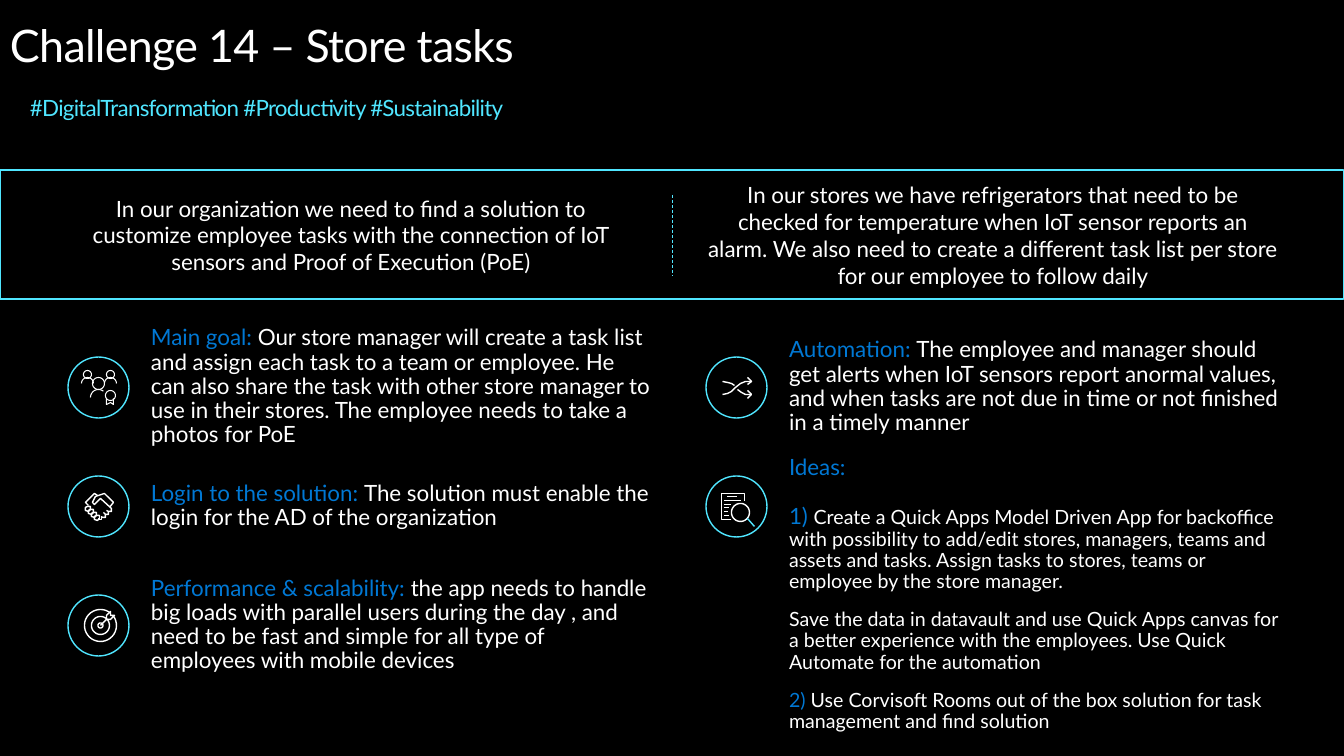
import math
from pptx import Presentation, util as u
from pptx.dml.color import RGBColor
from pptx.enum import dml, shapes, text
from pptx.oxml.ns import qn
from lxml import etree

TITLE = "Challenge 14 – Store tasks"
HASHTAGS = "#DigitalTransformation #Productivity #Sustainability"
STATEMENTS = [
    "In our organization we need to find a solution to customize employee tasks "
    "with the connection of IoT sensors and Proof of Execution (PoE)",
    "In our stores we have refrigerators that need to be checked for temperature "
    "when IoT sensor reports an alarm. We also need to create a different task list "
    "per store for our employee to follow daily",
]
# (column, row, icon, heading, body)
TOPICS = [
    (0, 0, "team", "Main goal: ",
     "Our store manager will create a task list and assign each task to a team or "
     "employee. He can also share the task with other store manager to use in their "
     "stores. The employee needs to take a photos for PoE"),
    (0, 1, "handshake", "Login to the solution: ",
     "The solution must enable the login for the AD of the organization"),
    (0, 2, "target", "Performance & scalability: ",
     "the app needs to handle big loads with parallel users during the day , and need "
     "to be fast and simple for all type of employees with mobile devices"),
    (1, 0, "shuffle", "Automation: ",
     "The employee and manager should get alerts when IoT sensors report anormal "
     "values, and when tasks are not due in time or not finished in a timely manner"),
    (1, 1, "search", "Ideas:", ""),
]
# (number, number style, body, space before in points)
IDEAS = [
    ("1) ", "heading",
     "Create a Quick Apps Model Driven App for backoffice with possibility to add/edit "
     "stores, managers, teams and assets and tasks. Assign tasks to stores, teams or "
     "employee by the store manager.", 18),
    ("", "number",
     "Save the data in datavault and use Quick Apps canvas for a better experience with "
     "the employees. Use Quick Automate for the automation", 12),
    ("2) ", "number",
     "Use Corvisoft Rooms out of the box solution for task management and find solution", 12),
]

THEME = {
    "black": "000000", "white": "FFFFFF", "cyan": "50E6FF", "blue": "0078D4",
    "font": "Lato",
    "title": (32, "white"), "tags": (16, "cyan"), "body": (16, "white"),
    "heading": (16, "blue"), "number": (14, "blue"), "idea": (14, "white"),
}
PX = 914400 / 100.8
RING = 61


def px(length):
    return u.Emu(round(length * PX))


def color(name):
    return RGBColor.from_string(THEME[name])


def arc(x, y, radius, start=0, end=360):
    """Points along a circular arc, angles in degrees clockwise from the right."""
    steps = max(8, round((end - start) / 10))
    angles = [math.radians(start + (end - start) * i / steps) for i in range(steps + 1)]
    return [(x + radius * math.cos(a), y + radius * math.sin(a)) for a in angles]


FINGER = [(-13, 1), (-13, 4), (-10, 5), (-8, 3), (-8, 0), (-11, 0), (-13, 1)]
# Text lines on the search icon's page: (y, left, right)
PAGE_LINES = [(-10, -9, 1), (-6, -12, 5), (-2, -12, -5), (1, -12, -7), (5, -12, -8), (9, -12, -7)]
# Icon strokes in px from the middle of the ring
ICONS = {
    "team": [
        arc(0, -4, 6), arc(0, 10, 8, 180, 308),
        arc(-11, -13, 4), arc(-11, -4, 6, 180, 360),
        arc(12, -13, 4), arc(12, -4, 6, 180, 360),
        arc(12, 8, 5), [(8, 11), (8, 17), (12, 15), (15, 17), (15, 11)],
    ],
    "handshake": [
        [(-10, -1), (-13, -4), (-4, -13), (-1, -11)],
        *[[(x + 3 * i, y + 3 * i) for x, y in FINGER] for i in range(4)],
        [(11, 1), (15, -4), (6, -13), (-3, -10), (-6, -4), (-4, -2), (-1, -5), (2, -8),
         (13, 2), (13, 5), (10, 5), (8, 4)],
        [(10, 5), (10, 8), (7, 8), (5, 6)],
        [(7, 8), (7, 11), (4, 11), (3, 10)],
        [(3, 10), (3, 13), (0, 13), (0, 12)],
    ],
    "target": [
        arc(2, 0, 16, -37, 302), arc(2, 0, 9), arc(2, 0, 2.5), [(2, 0), (8, -6)],
        [(16, -10), (12, -10), (12, -14), (8, -10), (8, -6), (12, -6), (16, -10)],
    ],
    "shuffle": [
        [(-14, -6), (-9, -5), (-5, -4), (-2, -2)], [(1, 2), (5, 5), (9, 7), (15, 7)],
        [(-14, 7), (-9, 6), (-5, 4), (-1, 0), (4, -4), (9, -6), (15, -6)],
        [(11, -10), (15, -6), (11, -3)], [(11, 3), (15, 7), (11, 11)],
    ],
    "search": [
        [(-5, 13), (-15, 13), (-15, -13), (8, -13), (8, -5)],
        *[[(left, y), (right, y)] for y, left, right in PAGE_LINES],
        arc(4, 6, 9),
    ],
}

deck = Presentation()
deck.slide_width, deck.slide_height = px(1344), px(756)
page = deck.slides.add_slide(deck.slide_layouts[6])
page.background.fill.solid()
page.background.fill.fore_color.rgb = color("black")


def outline(shape, ink, width):
    shape.line.color.rgb = color(ink)
    shape.line.width = u.Pt(width)


def add_preset(kind, left, top, width, height, weight):
    shape = page.shapes.add_shape(kind, px(left), px(top), px(width), px(height))
    shape.shadow.inherit = False
    shape.fill.solid()
    shape.fill.fore_color.rgb = color("black")
    outline(shape, "cyan", weight)


def add_line(x1, y1, x2, y2, weight):
    line = page.shapes.add_connector(shapes.MSO_CONNECTOR.STRAIGHT, px(x1), px(y1), px(x2), px(y2))
    etree.SubElement(line._element.spPr, qn("a:effectLst"))
    outline(line, "cyan", weight)
    # The effect list must follow the line properties
    line._element.spPr.append(line._element.spPr.find(qn("a:effectLst")))
    return line


def add_text(left, top, width, height, paragraphs, anchor="MIDDLE", tracking=None, **formats):
    """Each paragraph is (space before in points, [(text, style), ...])."""
    box = page.shapes.add_textbox(px(left), px(top), px(width), px(height))
    frame = box.text_frame
    settings = {"word_wrap": True, "vertical_anchor": text.MSO_ANCHOR[anchor],
                "margin_left": 0, "margin_right": 0, "margin_top": 0, "margin_bottom": 0}
    for name, value in settings.items():
        setattr(frame, name, value)
    for i, (space, pieces) in enumerate(paragraphs):
        para = frame.add_paragraph() if i else frame.paragraphs[0]
        for name, value in {"space_before": u.Pt(space), **formats}.items():
            setattr(para, name, value)
        for words, style in pieces:
            size, ink = THEME[style]
            span = para.add_run()
            span.text = words
            for name, value in {"name": THEME["font"], "size": u.Pt(size)}.items():
                setattr(span.font, name, value)
            span.font.color.rgb = color(ink)
            if tracking:
                span._r.get_or_add_rPr().set("spc", str(tracking))


def add_icon(name, x, y):
    builder = None
    for stroke in ICONS[name]:
        (first, *rest) = [(px(x + dx), px(y + dy)) for dx, dy in stroke]
        if builder:
            builder.move_to(*first)
        else:
            builder = page.shapes.build_freeform(*first, scale=1.0)
        builder.add_line_segments(rest, close=False)
    icon = builder.convert_to_shape()
    icon.shadow.inherit = False
    icon.fill.background()
    outline(icon, "white", 0.75 if name == "team" else 1)
    if name == "search":
        add_line(x + 11, y + 12, x + 18, y + 20, 1)


add_text(10, 18, 1183, 54, [(0, [(TITLE, "title")])], anchor="TOP", tracking=-50)
add_text(30, 97, 1103, 24, [(0, [(HASHTAGS, "tags")])], anchor="TOP", tracking=-50,
         line_spacing=0.9)

add_preset(shapes.MSO_SHAPE.RECTANGLE, 0, 170, 1344, 129, 0.75)
for column, statement in enumerate(STATEMENTS):
    add_text(64 + 642 * column, 181, 574, 108, [(0, [(statement, "body")])],
             alignment=text.PP_ALIGN.CENTER)
add_line(672, 195, 672, 276, 0.5).line.dash_style = dml.MSO_LINE.DASH

for column, row, icon, heading, body in TOPICS:
    left, top = 68 + 638 * column, 357 + 119 * row
    add_preset(shapes.MSO_SHAPE.OVAL, left, top, RING, RING, 1)
    add_icon(icon, left + RING / 2, top + RING / 2)
    if body:
        add_text(left + 83, top - 17, 500, 94, [(0, [(heading, "heading"), (body, "body")])],
                 line_spacing=0.9)
    else:
        ideas = [(space, [(n, style), (words, "idea")] if n else [(words, "idea")])
                 for n, style, words, space in IDEAS]
        add_text(left + 83, top - 20, 500, 300, [(0, [(heading, "heading")])] + ideas,
                 anchor="TOP", line_spacing=0.9)

deck.save("out.pptx")
